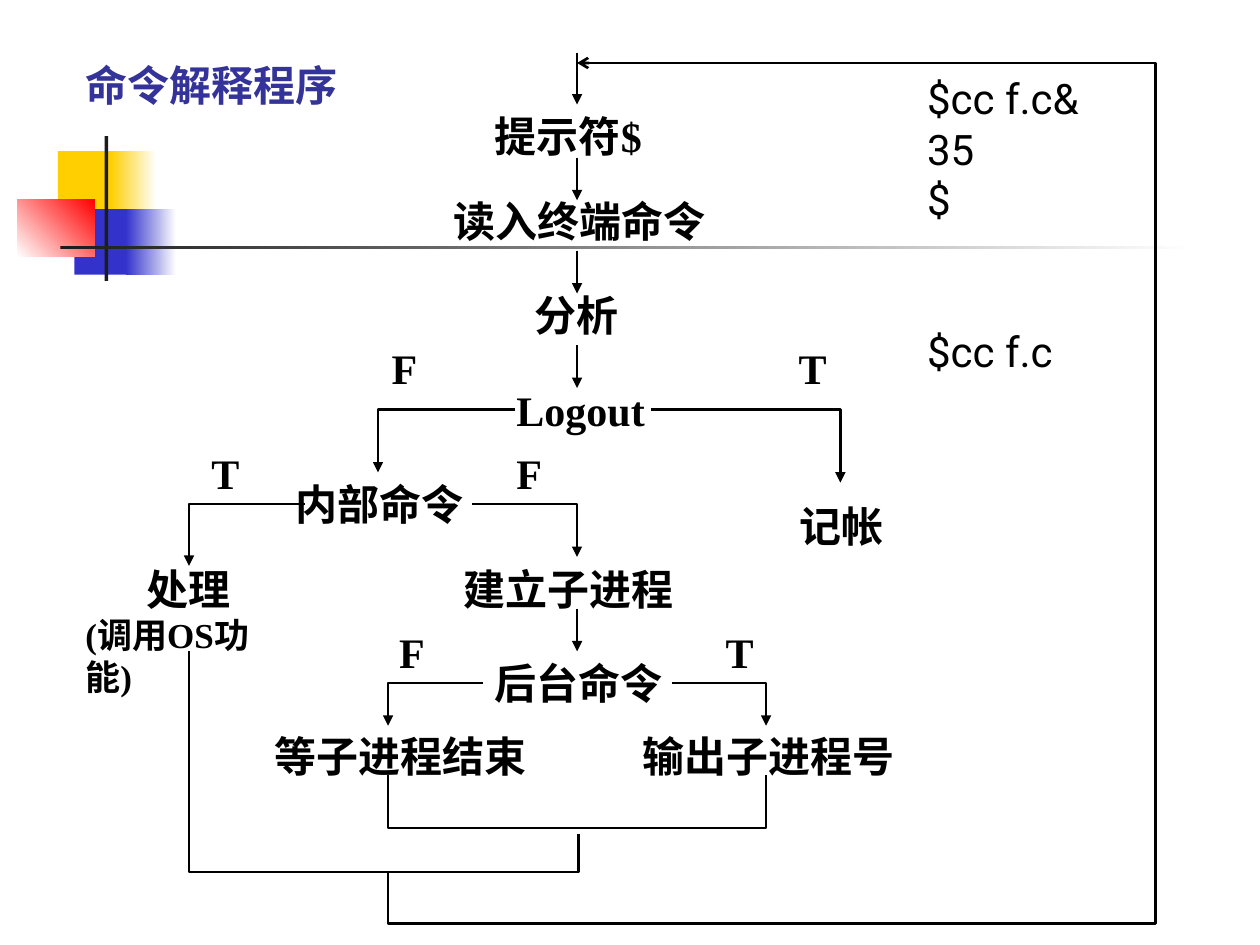
import pptx
import pptx.dml.color
import pptx.enum.shapes
import pptx.enum.text
import pptx.oxml.ns
import pptx.oxml.xmlchemy
import pptx.util

COLORS = {
    "text": "000000", "title": "333399", "yellow": "FFCF01", "blue": "3333CC",
    "red": "FF0000", "white": "FFFFFF", "dark": "1C1C1C",
}
SERIF = "Times New Roman"
SANS = "Roboto"
LEFT = pptx.enum.text.PP_ALIGN.LEFT
CENTER = pptx.enum.text.PP_ALIGN.CENTER


def rgb(name):
    return pptx.dml.color.RGBColor.from_string(COLORS[name])


def inches(*lengths):
    return [pptx.util.Inches(length) for length in lengths]


class FlowSlide:
    def __init__(self, deck):
        self.slide = deck.slides.add_slide(deck.slide_layouts[5])
        self.shapes = self.slide.shapes
        self.line_width = pptx.util.Pt(1.5)

    def fill_text(self, box, lines, size=24, font=SERIF, color="text", bold=True):
        frame = box.text_frame
        frame.text = "\n".join(lines)
        frame.word_wrap = True
        frame.vertical_anchor = pptx.enum.text.MSO_ANCHOR.TOP
        frame.auto_size = pptx.enum.text.MSO_AUTO_SIZE.SHAPE_TO_FIT_TEXT
        for paragraph in frame.paragraphs:
            paragraph.alignment = LEFT
            for run in paragraph.runs:
                run.font.size = pptx.util.Pt(size)
                run.font.name = font
                run.font.bold = bold
                run.font.color.rgb = rgb(color)
        return frame

    def title(self, text, left, top, width, height):
        heading = self.shapes.title
        heading.left, heading.top, heading.width, heading.height = inches(left, top, width, height)
        self.fill_text(heading, [text], color="title")

    def text(self, lines, left, top, width, height=0.5, **style):
        box = self.shapes.add_textbox(*inches(left, top, width, height))
        return self.fill_text(box, lines, **style)

    def block(self, left, top, width, height, start, end=None, angle=0):
        block = self.shapes.add_shape(
            pptx.enum.shapes.MSO_SHAPE.RECTANGLE, *inches(left, top, width, height))
        block.shadow.inherit = False
        block.line.fill.background()
        if end is None:
            block.fill.solid()
            block.fill.fore_color.rgb = rgb(start)
            return
        block.fill.gradient()
        block.fill.gradient_angle = angle
        for stop, color in zip(block.fill.gradient_stops, (start, end)):
            stop.color.rgb = rgb(color)

    def stroke(self, line_shape, head):
        line_shape.line.color.rgb = rgb("text")
        line_shape.line.width = self.line_width
        if head:
            outline = line_shape._element.spPr.find(pptx.oxml.ns.qn("a:ln"))
            tail = pptx.oxml.xmlchemy.OxmlElement("a:tailEnd")
            tail.set("type", head)
            outline.append(tail)

    def arrow(self, x, top, bottom):
        arrow = self.shapes.add_connector(
            pptx.enum.shapes.MSO_CONNECTOR.STRAIGHT, *inches(x, top, x, bottom))
        self.stroke(arrow, "triangle")
        arrow._element.spPr.append(pptx.oxml.xmlchemy.OxmlElement("a:effectLst"))

    def route(self, points, head=None):
        start, *rest = [inches(x, y) for x, y in points]
        builder = self.shapes.build_freeform(*start)
        builder.add_line_segments(rest, close=False)
        route = builder.convert_to_shape()
        route.shadow.inherit = False
        route.fill.background()
        self.stroke(route, head)

    def branch(self, start_x, end_x, top, bottom):
        self.route([(start_x, top), (end_x, top), (end_x, bottom)], "triangle")


def main():
    deck = pptx.Presentation()
    deck.slide_width, deck.slide_height = inches(10, 7.5)
    flow = FlowSlide(deck)

    flow.block(0.46, 1.2, 0.48, 0.52, "yellow")
    flow.block(0.88, 1.2, 0.36, 0.52, "yellow", "white")
    flow.block(0.59, 1.66, 0.46, 0.52, "blue")
    flow.block(1, 1.66, 0.4, 0.52, "blue", "white")
    flow.block(0.14, 1.58, 0.61, 0.46, "white", "red", angle=45)
    flow.block(0.83, 1.08, 0.03, 1.15, "dark")
    flow.block(0.48, 1.95, 9, 0.03, "dark", "white")

    flow.title("命令解释程序", 0.58, 0.42, 2.42, 0.5)

    steps = [
        ("提示符$", 3.83, 0.83, 1.58),
        ("读入终端命令", 3.5, 1.5, 2.25),
        ("分析", 4.14, 2.25, 0.92),
        ("Logout", 4, 3, 1.25),
        ("内部命令", 2.25, 3.75, 1.67),
        ("建立子进程", 3.58, 4.42, 1.92),
        ("后台命令", 3.83, 5.17, 1.67),
        ("等子进程结束", 2.08, 5.75, 2.25),
        ("输出子进程号", 5, 5.75, 2.33),
        ("记帐", 6.25, 3.92, 0.92),
    ]
    for label, left, top, width in steps:
        flow.text([label], left, top, width)

    handling = flow.text(["处理", "(调用OS功能)"], 0.58, 4.42, 1.83, 1.17)
    handling.paragraphs[0].alignment = CENTER
    handling.paragraphs[1].runs[0].font.size = pptx.util.Pt(20)

    main_x = 4.58
    for top, bottom in [(0.42, 0.83), (1.25, 1.59), (1.99, 2.33), (2.74, 3.08), (4.83, 5.17)]:
        flow.arrow(main_x, top, bottom)

    internal_x, handling_x, wait_x, output_x = 3, 1.5, 3.08, 6.08
    flow.branch(4.09, internal_x, 3.25, 3.75)
    flow.branch(5.17, 6.67, 3.25, 3.83)
    flow.branch(2.42, handling_x, 4, 4.49)
    flow.branch(3.75, main_x, 4, 4.42)
    flow.branch(3.83, wait_x, 5.42, 5.76)
    flow.branch(5.33, output_x, 5.42, 5.76)

    merge_y, return_y, loop_x, loop_y = 6.57, 6.92, 9.17, 7.33
    flow.route([(wait_x, 6.15), (wait_x, merge_y), (output_x, merge_y), (output_x, 6.15)])
    flow.route([(handling_x, 5.17), (handling_x, return_y), (4.59, return_y), (4.59, 6.62)])
    flow.route([(wait_x, return_y), (wait_x, loop_y), (loop_x, loop_y),
                (loop_x, 0.5), (main_x, 0.5)], "arrow")

    outcomes = [
        ("F", 3.01, 2.67), ("T", 6.24, 2.67),
        ("T", 1.58, 3.5), ("F", 4, 3.5),
        ("F", 3.07, 4.92), ("T", 5.66, 4.92),
    ]
    for outcome, left, top in outcomes:
        flow.text([outcome], left, top, 0.42)

    session = flow.text(["$cc f.c&", "35", "$", "$cc f.c"], 7.26, 0.53, 1.81, 2.5,
                        font=SANS, bold=False)
    session.paragraphs[3].space_before = pptx.util.Pt(58)

    deck.save("out.pptx")


if __name__ == "__main__":
    main()
